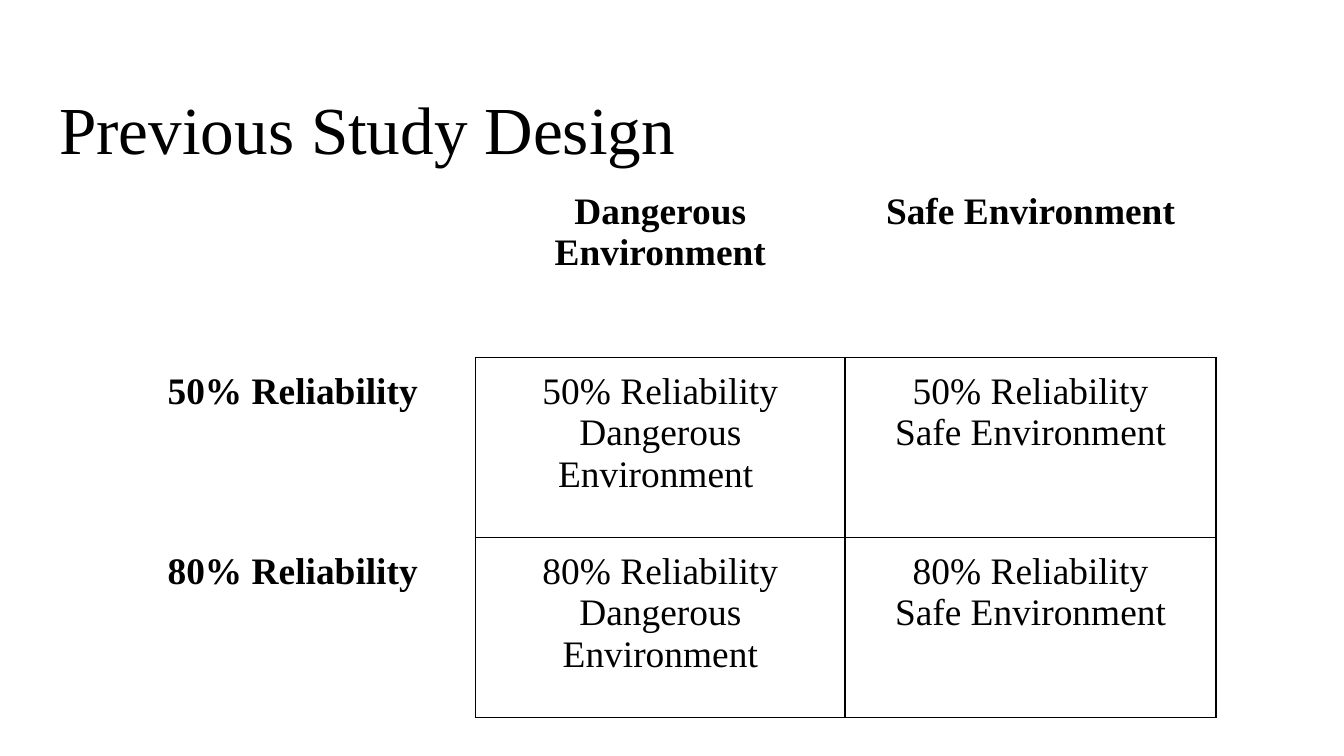
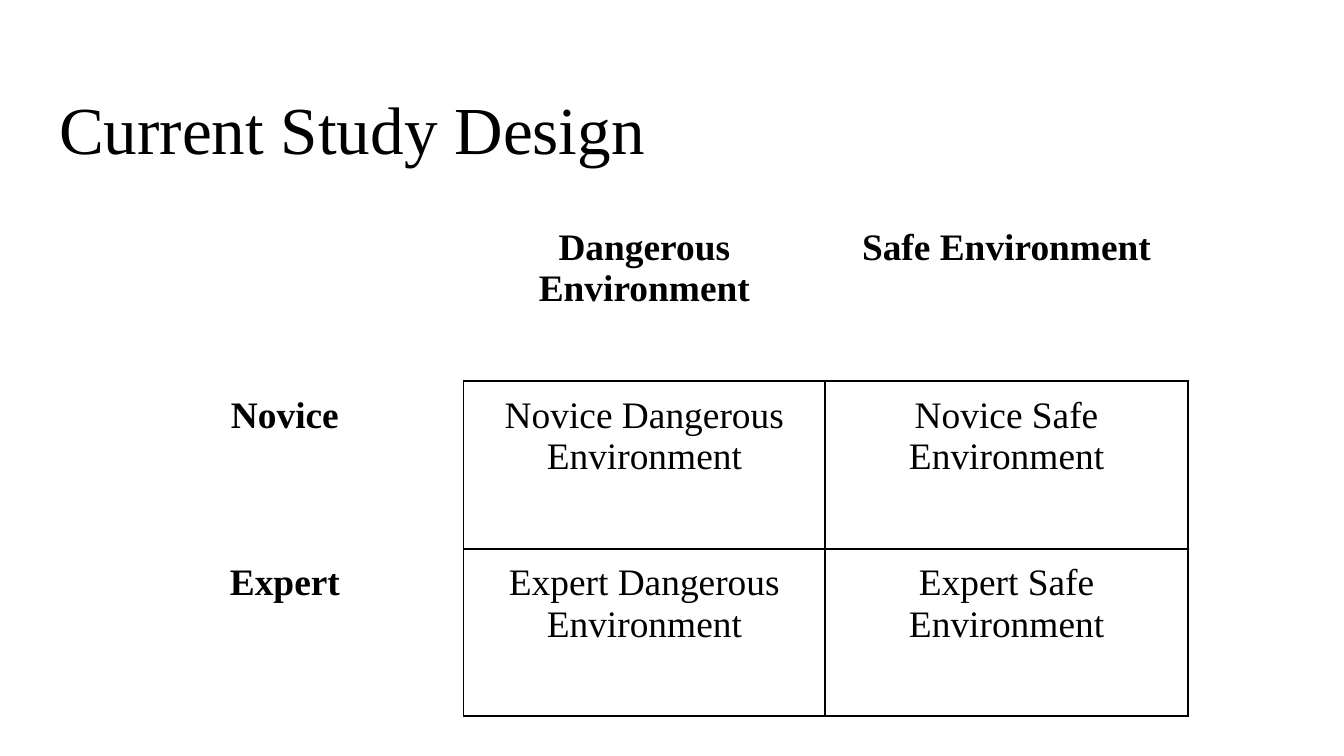
from lxml.etree import SubElement
from pptx import Presentation
from pptx.dml.color import RGBColor
from pptx.enum.text import MSO_ANCHOR, MSO_AUTO_SIZE, PP_ALIGN
from pptx.oxml.ns import qn
from pptx.util import Pt

COLORS = {"background": "FFFFFF", "ink": "000000"}
FONT = "Times New Roman"
TITLE_BOX = (24.5, 35.3, 671, 45.4)
TITLE_ONLY = 5
ENVIRONMENTS = ["Dangerous Environment", "Safe Environment"]

STUDIES = [
    {
        "title": "Previous Study Design",
        "box": (59, 95, 593, 289.5),
        "columns": (195.8, 198, 198.7),
        "groups": {
            "50% Reliability": [
                "50% Reliability\nDangerous Environment ",
                "50% Reliability\nSafe Environment",
            ],
            "80% Reliability": [
                "80% Reliability\nDangerous Environment",
                "80% Reliability\nSafe Environment",
            ],
        },
    },
    {
        "title": "Current Study Design",
        "box": (56.9, 114.5, 579.6, 269.3),
        "columns": (191.5, 193.7, 194.4),
        "groups": {
            group: [f"{group} {environment}" for environment in ENVIRONMENTS]
            for group in ("Novice", "Expert")
        },
    },
]


def write(frame, text, size=20, bold=False, align=PP_ALIGN.CENTER):
    frame.text = text
    for paragraph in frame.paragraphs:
        paragraph.alignment = align
        for run in paragraph.runs:
            run.font.name = FONT
            run.font.size = Pt(size)
            run.font.bold = bold
            run.font.color.rgb = RGBColor.from_string(COLORS["ink"])


def add_title(slide, text, box):
    title = slide.shapes.title
    title.left, title.top, title.width, title.height = map(Pt, box)
    frame = title.text_frame
    frame.word_wrap = True
    frame.auto_size = MSO_AUTO_SIZE.NONE
    frame.vertical_anchor = MSO_ANCHOR.TOP
    frame.margin_left = frame.margin_right = frame.margin_bottom = Pt(7.2)
    frame.margin_top = Pt(11.4)
    write(frame, text, size=36, align=PP_ALIGN.LEFT)


def set_borders(cell, visible):
    properties = cell._tc.get_or_add_tcPr()
    for side in "LRTB":
        line = SubElement(properties, qn(f"a:ln{side}"), w=str(Pt(1)))
        if side in visible:
            fill = SubElement(line, qn("a:solidFill"))
            SubElement(fill, qn("a:srgbClr"), val=COLORS["ink"])
        else:
            SubElement(line, qn("a:noFill"))


def visible_sides(row, column):
    if row and column:
        return "LRTB"
    if row:
        return "R"
    return "B" if column else ""


def add_design_table(slide, groups, box, columns):
    rows = [["", *ENVIRONMENTS]]
    rows += [[group, *conditions] for group, conditions in groups.items()]
    table = slide.shapes.add_table(len(rows), len(columns), *map(Pt, box)).table
    table.first_row = table.horz_banding = False
    for column, width in zip(table.columns, columns):
        column.width = Pt(width)
    for r, row in enumerate(rows):
        table.rows[r].height = Pt(box[3] / len(rows))
        for c, text in enumerate(row):
            cell = table.cell(r, c)
            cell.margin_left = cell.margin_right = Pt(5.4)
            cell.margin_top = cell.margin_bottom = Pt(7.2)
            set_borders(cell, visible_sides(r, c))
            cell.fill.background()
            if text:
                write(cell.text_frame, text, bold=r == 0 or c == 0)


def add_study_slide(deck, study):
    slide = deck.slides.add_slide(deck.slide_layouts[TITLE_ONLY])
    slide.background.fill.solid()
    slide.background.fill.fore_color.rgb = RGBColor.from_string(COLORS["background"])
    add_title(slide, study["title"], TITLE_BOX)
    add_design_table(slide, study["groups"], study["box"], study["columns"])


def main():
    deck = Presentation()
    deck.slide_width, deck.slide_height = Pt(720), Pt(405)
    for study in STUDIES:
        add_study_slide(deck, study)
    deck.save("out.pptx")


if __name__ == "__main__":
    main()
